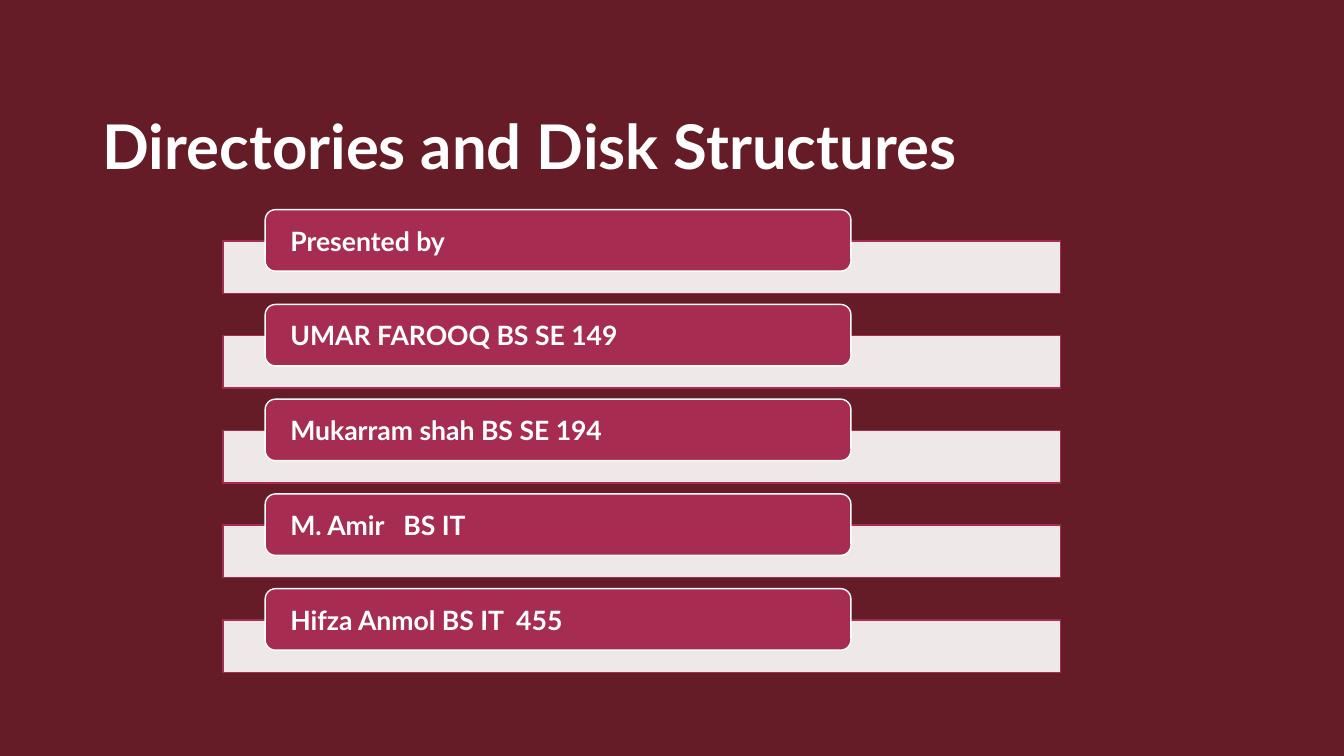
from dataclasses import dataclass

from lxml import etree
from pptx import Presentation
from pptx.dml import color
from pptx.enum import shapes, text
from pptx.oxml import ns
from pptx.util import Inches, Pt

COLORS = {"ground": "651C27", "accent": "A62C52", "light": "FFFFFF"}
FONT = {"name": "Lato", "bold": True}
FIRST_TOP, PITCH = 2.08, 0.94
BAR_DROP = 0.31  # from the top of a label to the top of its bar


@dataclass(frozen=True)
class Box:
    kind: shapes.MSO_SHAPE
    left: float
    width: float
    height: float
    fill: str
    line: str


BAR = Box(shapes.MSO_SHAPE.RECTANGLE, 2.21, 8.31, 0.52, "light", "accent")
LABEL = Box(shapes.MSO_SHAPE.ROUNDED_RECTANGLE, 2.63, 5.81, 0.61, "accent", "light")
PRESENTERS = (
    "Presented by",
    "UMAR FAROOQ BS SE 149",
    "Mukarram shah BS SE 194",
    "M. Amir   BS IT",
    "Hifza Anmol BS IT  455",
)


def rgb(name: str) -> color.RGBColor:
    return color.RGBColor.from_string(COLORS[name])


def add_box(slide, box: Box, top: float):
    sp = slide.shapes.add_shape(box.kind, Inches(box.left), Inches(top),
                                Inches(box.width), Inches(box.height))
    sp.shadow.inherit = False
    sp.fill.solid()
    sp.fill.fore_color.rgb = rgb(box.fill)
    sp.line.color.rgb = rgb(box.line)
    sp.line.width = Pt(1)
    return sp


def set_opacity(sp, percent: int) -> None:
    clr = sp._element.spPr.find(ns.qn("a:solidFill")).find(ns.qn("a:srgbClr"))
    etree.SubElement(clr, ns.qn("a:alpha"), val=str(percent * 1000))


def write(sp, content: str, size: float, frame: dict) -> None:
    tf = sp.text_frame
    for key, value in ({"word_wrap": True} | frame).items():
        setattr(tf, key, value)
    p = tf.paragraphs[0]
    p.alignment = text.PP_ALIGN.LEFT
    r = p.add_run()
    r.text = content
    for key, value in (FONT | {"size": Pt(size)}).items():
        setattr(r.font, key, value)
    r.font.color.rgb = rgb("light")


def main() -> None:
    prs = Presentation()
    prs.slide_width, prs.slide_height = Inches(13.33), Inches(7.5)
    s = prs.slides.add_slide(prs.slide_layouts[6])

    # Background
    s.background.fill.solid()
    s.background.fill.fore_color.rgb = rgb("ground")

    # Title
    title = s.shapes.add_textbox(Inches(0.92), Inches(0.4), Inches(11.5), Inches(1.45))
    write(title, "Directories and Disk Structures", 44,
          {"vertical_anchor": text.MSO_ANCHOR.BOTTOM})

    # Presenter list: a label over each bar
    label_frame = {
        "vertical_anchor": text.MSO_ANCHOR.MIDDLE,
        "margin_left": Inches(0.22), "margin_right": Inches(0.22),
        "margin_top": 0, "margin_bottom": 0,
    }
    for i, presenter in enumerate(PRESENTERS):
        top = FIRST_TOP + i * PITCH
        set_opacity(add_box(s, BAR, top + BAR_DROP), 90)
        write(add_box(s, LABEL, top), presenter, 19, label_frame)

    prs.save("out.pptx")


if __name__ == "__main__":
    main()
